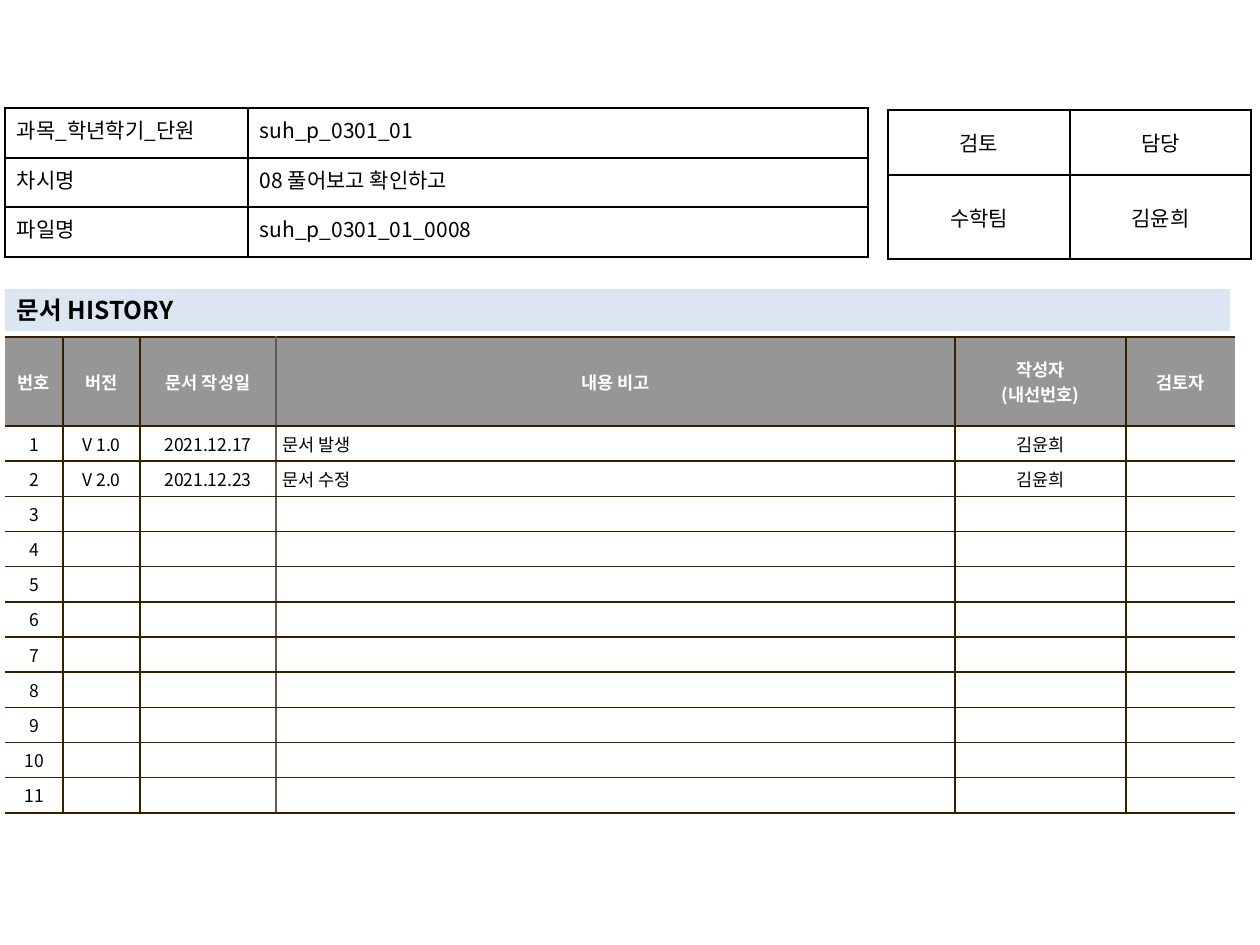
from lxml import etree
from pptx import Presentation
from pptx.dml.color import RGBColor
from pptx.enum.shapes import MSO_SHAPE
from pptx.enum.text import MSO_ANCHOR, PP_ALIGN
from pptx.oxml.ns import qn
from pptx.util import Emu, Pt

EMU_PER_PX = 914400 / 126
RECTANGLE = MSO_SHAPE.RECTANGLE
TOP, MIDDLE = MSO_ANCHOR.TOP, MSO_ANCHOR.MIDDLE
LEFT, CENTER, JUSTIFY = PP_ALIGN.LEFT, PP_ALIGN.CENTER, PP_ALIGN.JUSTIFY
COLORS = {
    "ink": "000000",
    "paper": "FFFFFF",
    "band": "DCE6F2",
    "header": "969696",
    "rule": "362000",
    "soft_rule": "645B4C",
}


def px(value):
    return Emu(round(value * EMU_PER_PX))


def rgb(name):
    return RGBColor.from_string(COLORS[name])


class Sheet:
    font = "Noto Sans CJK KR"

    def __init__(self, slide):
        self.slide = slide

    def style_text(self, frame, size, color="ink", bold=False, align=LEFT):
        for paragraph in frame.paragraphs:
            paragraph.alignment = align
            for run in paragraph.runs:
                run.font.size = Pt(size)
                run.font.bold = bold
                run.font.color.rgb = rgb(color)
                run.font.name = self.font
                east_asian = etree.SubElement(run.font._element, qn("a:ea"))
                east_asian.set("typeface", self.font)
            if not paragraph.runs:
                end = etree.SubElement(paragraph._p, qn("a:endParaRPr"))
                end.set("sz", str(size * 100))
                for script in ("a:latin", "a:ea"):
                    etree.SubElement(end, qn(script)).set("typeface", self.font)

    def border(self, cell, colors):
        properties = cell._tc.get_or_add_tcPr()
        for position, (side, color) in enumerate(zip("LRTB", colors)):
            line = etree.Element(qn(f"a:ln{side}"), w=str(Pt(1)))
            if color:
                fill = etree.SubElement(line, qn("a:solidFill"))
                etree.SubElement(fill, qn("a:srgbClr")).set("val", COLORS[color])
            else:
                etree.SubElement(line, qn("a:noFill"))
            properties.insert(position, line)

    def table(self, left, top, widths, heights, rows, size, aligns,
              verticals, horizontal, anchor=MIDDLE, margins=(12, 6),
              body_fill=None, header_fill=None):
        table = self.slide.shapes.add_table(
            len(heights), len(widths), px(left), px(top),
            px(sum(widths)), px(sum(heights))).table
        table.first_row = table.horz_banding = False
        for column, width in zip(table.columns, widths):
            column.width = px(width)
        for row, height in zip(table.rows, heights):
            row.height = px(height)
        for r, texts in enumerate(rows):
            is_header = bool(header_fill) and r == 0
            fill = header_fill if is_header else body_fill
            for c, text in enumerate(texts):
                cell = table.cell(r, c)
                cell.text_frame.text = text
                cell.vertical_anchor = anchor
                cell.margin_left = cell.margin_right = px(margins[0])
                cell.margin_top = cell.margin_bottom = px(margins[1])
                if fill:
                    cell.fill.solid()
                    cell.fill.fore_color.rgb = rgb(fill)
                else:
                    cell.fill.background()
                self.style_text(
                    cell.text_frame, size,
                    color="paper" if is_header else "ink", bold=is_header,
                    align=CENTER if is_header else aligns[c])
                self.border(cell, (verticals[c], verticals[c + 1],
                                   horizontal, horizontal))

    def heading(self, left, top, width, height, text):
        band = self.slide.shapes.add_shape(
            RECTANGLE, px(left), px(top), px(width), px(height))
        band.shadow.inherit = False
        band.fill.solid()
        band.fill.fore_color.rgb = rgb("band")
        band.line.fill.background()
        frame = band.text_frame
        frame.word_wrap = True
        frame.vertical_anchor = MIDDLE
        frame.margin_left = frame.margin_right = px(12)
        frame.margin_top = frame.margin_bottom = 0
        frame.text = text
        self.style_text(frame, 14, bold=True)


def main():
    presentation = Presentation()
    presentation.slide_width, presentation.slide_height = px(1260), px(945)
    sheet = Sheet(presentation.slides.add_slide(presentation.slide_layouts[6]))

    revisions = [
        ["V 1.0", "2021.12.17", "문서 발생", "김윤희", ""],
        ["V 2.0", "2021.12.23", "문서 수정", "김윤희", ""],
    ]
    revisions += [[""] * 5] * 9
    history = [["번호", "버전", "문서 작성일", "내용 비고",
                "작성자\n(내선번호)", "검토자"]]
    history += [[str(number), *entry]
                for number, entry in enumerate(revisions, 1)]
    sheet.table(
        5, 337, [58, 77, 136, 679, 171, 109], [89] + [35] * len(revisions),
        history, 10, [CENTER] * 3 + [LEFT] + [CENTER] * 2,
        [None, "rule", "rule", "soft_rule", "rule", "rule", None], "rule",
        margins=(7, 5), body_fill="paper", header_fill="header")

    sheet.table(
        888, 110, [182, 181], [65, 84],
        [["검토", "담당"], ["수학팀", "김윤희"]],
        12, [CENTER] * 2, ["ink"] * 3, "ink")

    sheet.heading(5, 289, 1225, 42, "문서 HISTORY")

    sheet.table(
        5, 108, [243, 620], [50, 49, 50],
        [["과목_학년학기_단원", "suh_p_0301_01"],
         ["차시명", "08 풀어보고 확인하고"],
         ["파일명", "suh_p_0301_01_0008"]],
        12, [JUSTIFY, LEFT], ["ink"] * 3, "ink", anchor=TOP)

    presentation.save("out.pptx")


if __name__ == "__main__":
    main()
